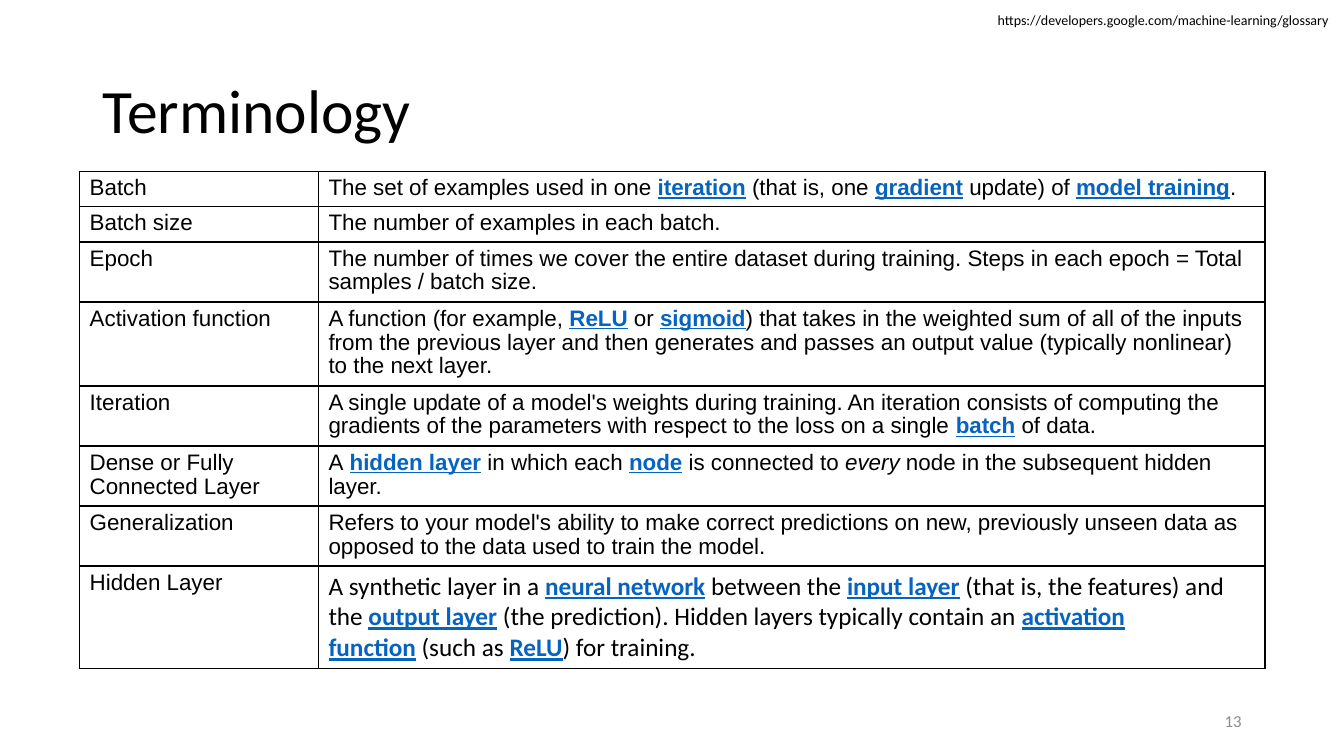
from pptx import Presentation
from pptx.dml.color import RGBColor
from pptx.enum.text import MSO_ANCHOR, MSO_AUTO_SIZE, PP_ALIGN
from pptx.oxml import parse_xml
from pptx.oxml.ns import nsdecls
from pptx.util import Pt

COLORS = {"ink": "000000", "link": "0563C1", "muted": "8C8C8C", "paper": "FFFFFF"}
NBSP = chr(160)

# *term* marks a link, _word_ marks italics
GLOSSARY = [
    ("Batch", "The set of examples used in one *iteration* (that is, one *gradient* update) of *model training*.", 25.2),
    ("Batch size", "The number of examples in each batch.", 25.2),
    ("Epoch", "The number of times we cover the entire dataset during training. "
     "Steps in each epoch = Total samples / batch size.", 42.9),
    ("Activation function", "A function (for example, *ReLU* or *sigmoid*) that takes in the weighted sum of all "
     "of the inputs from the previous layer and then generates and passes an output value "
     "(typically nonlinear) to the next layer.", 60),
    ("Iteration", "A single update of a model's weights during training. An iteration consists of computing "
     "the gradients of the parameters with respect to the loss on a single *batch* of data.", 42.9),
    ("Dense or Fully Connected Layer", "A *hidden layer* in which each *node* is connected to _every_ node "
     "in the subsequent hidden layer.", 42.9),
    ("Generalization", "Refers to your model's ability to make correct predictions on new, previously unseen "
     "data as opposed to the data used to train the model.", 42.9),
    ("Hidden Layer", "A synthetic layer in a *neural network* between the *input layer* (that is, the features) "
     "and the *output layer* (the prediction). Hidden layers typically contain an *activation function* "
     "(such as *ReLU*) for training.", 72.5),
]


def split_marks(text):
    for i, part in enumerate(text.split("*")):
        if i % 2:
            yield part, "link"
            continue
        for j, piece in enumerate(part.split("_")):
            core = piece.strip(" ")
            lead = NBSP if piece.startswith(" ") else ""
            trail = NBSP if piece.endswith(" ") else ""
            yield lead + core + trail, "italic" if j % 2 else "plain"


class GlossarySlide:
    def __init__(self, slide):
        self.slide = slide

    def style(self, paragraph, size, font="Calibri", color="ink"):
        paragraph.font.size = Pt(size)
        paragraph.font.name = font
        if color:
            paragraph.font.color.rgb = RGBColor.from_string(COLORS[color])

    def title(self, text, left, top, width, height):
        heading = self.slide.shapes.title
        heading.left, heading.top, heading.width, heading.height = map(Pt, (left, top, width, height))
        heading.text_frame.text = text
        heading.text_frame.vertical_anchor = MSO_ANCHOR.MIDDLE
        paragraph = heading.text_frame.paragraphs[0]
        paragraph.alignment = PP_ALIGN.LEFT
        paragraph.line_spacing = 0.9
        self.style(paragraph, 44)

    def label(self, text, left, top, width, height, size, color="ink", align=PP_ALIGN.LEFT, wrap=True):
        frame = self.slide.shapes.add_textbox(*map(Pt, (left, top, width, height))).text_frame
        frame.text = text
        frame.word_wrap = wrap
        frame.auto_size = MSO_AUTO_SIZE.NONE if wrap else MSO_AUTO_SIZE.SHAPE_TO_FIT_TEXT
        frame.vertical_anchor = MSO_ANCHOR.MIDDLE if wrap else MSO_ANCHOR.TOP
        frame.paragraphs[0].alignment = align
        self.style(frame.paragraphs[0], size, color=color)

    def borders(self, cell):
        properties = cell._tc.get_or_add_tcPr()
        for index, side in enumerate(("lnL", "lnR", "lnT", "lnB")):
            properties.insert(index, parse_xml(
                f'<a:{side} {nsdecls("a")} w="{Pt(1)}"><a:solidFill>'
                f'<a:srgbClr val="{COLORS["ink"]}"/></a:solidFill></a:{side}>'))

    def cell(self, cell, text, size, font, spacing):
        cell.fill.solid()
        cell.fill.fore_color.rgb = RGBColor.from_string(COLORS["paper"])
        self.borders(cell)
        paragraph = cell.text_frame.paragraphs[0]
        paragraph.line_spacing = spacing
        pieces = [piece for piece in split_marks(text) if piece[0]]
        self.style(paragraph, size, font, "ink" if len(pieces) == 1 else None)
        for words, mark in pieces:
            run = paragraph.add_run()
            run.text = words
            if len(pieces) > 1:
                color = "link" if mark == "link" else "ink"
                run.font.color.rgb = RGBColor.from_string(COLORS[color])
            if mark == "link":
                run.font.bold = run.font.underline = True
            elif mark == "italic":
                run.font.italic = True

    def table(self, entries, left, top, widths):
        total = sum(height for _, _, height in entries)
        grid = self.slide.shapes.add_table(
            len(entries), len(widths), Pt(left), Pt(top), Pt(sum(widths)), Pt(total)).table
        grid.first_row = grid.horz_banding = False
        for column, width in zip(grid.columns, widths):
            column.width = Pt(width)
        for index, (term, meaning, height) in enumerate(entries):
            grid.rows[index].height = Pt(height)
            self.cell(grid.cell(index, 0), term, 16, "Arial", 0.96)
            last = index == len(entries) - 1
            size, font, spacing = (18, "Calibri", 1.0) if last else (16, "Arial", 0.96)
            self.cell(grid.cell(index, 1), meaning, size, font, spacing)


def main():
    deck = Presentation()
    deck.slide_width, deck.slide_height = Pt(960), Pt(540)
    page = GlossarySlide(deck.slides.add_slide(deck.slide_layouts[5]))
    page.title("Terminology", 66, 28.8, 828, 104.4)
    page.table(GLOSSARY, 56.9, 122.4, (170.6, 676.1))
    page.label("https://developers.google.com/machine-learning/glossary",
               705.6, 5, 254.2, 19.4, 10, wrap=False)
    page.label("13", 678, 500.5, 216, 28.8, 12, "muted", PP_ALIGN.RIGHT)
    deck.save("out.pptx")


if __name__ == "__main__":
    main()
